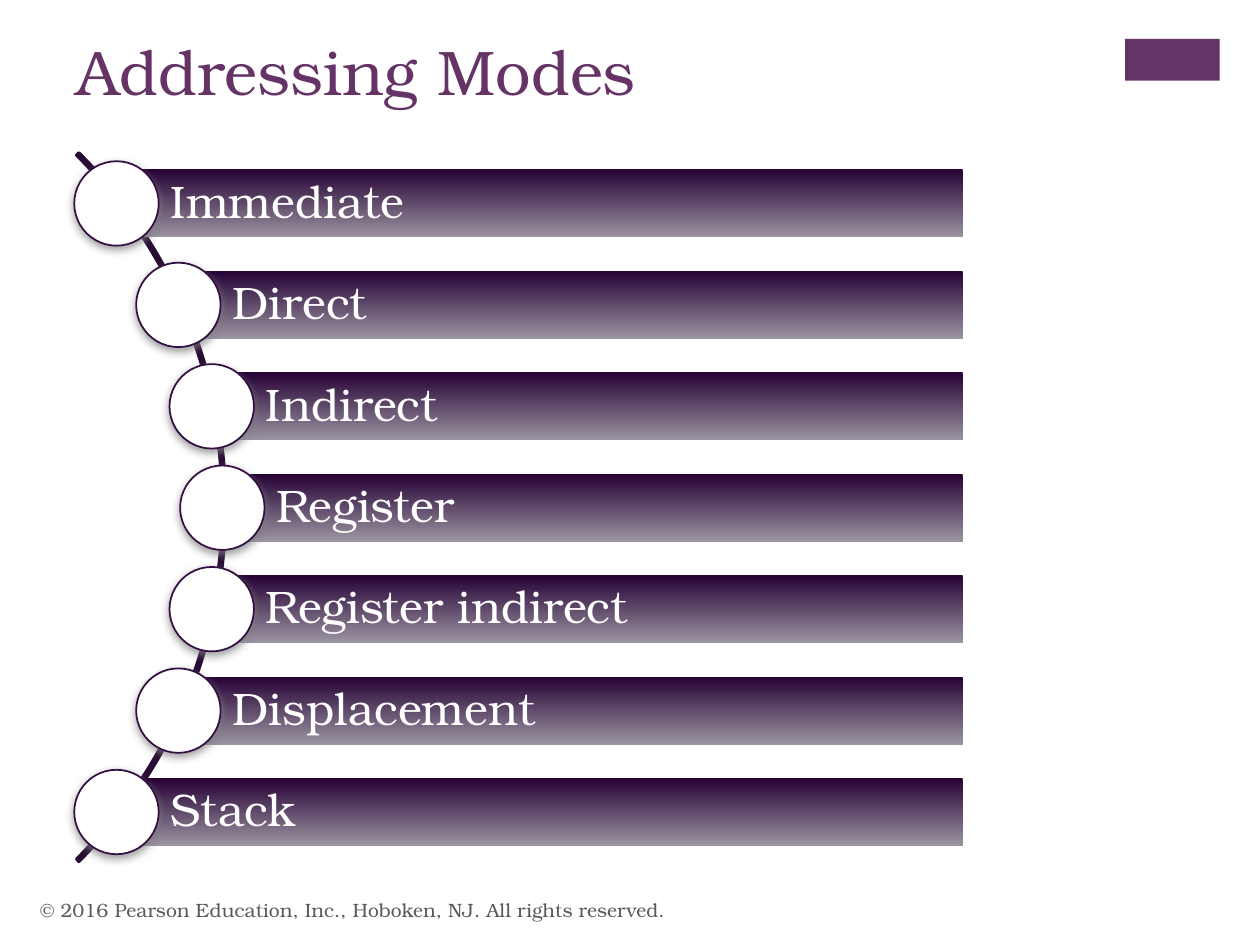
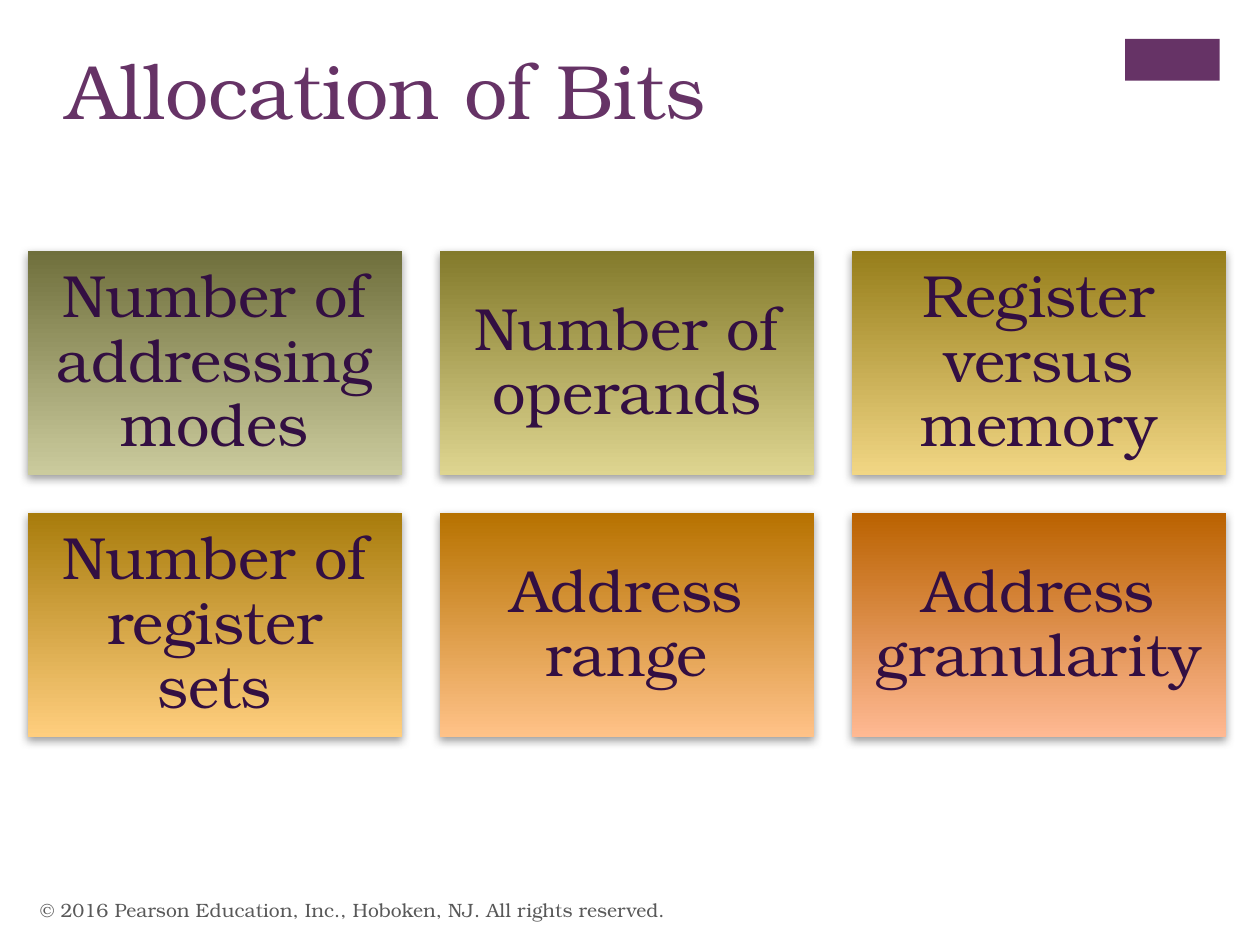
from dataclasses import dataclass
from math import sqrt

from lxml.etree import SubElement
from pptx import Presentation
from pptx.dml.color import RGBColor
from pptx.enum.shapes import MSO_SHAPE as Kind
from pptx.enum.text import MSO_ANCHOR as Anchor, MSO_AUTO_SIZE as Fit, PP_ALIGN as Align
from pptx.oxml.ns import qn
from pptx.util import Inches, Pt

FONT = "TeX Gyre Bonum"
PURPLE = RGBColor(0x66, 0x33, 0x66)
GREY = RGBColor(0x59, 0x59, 0x59)
WHITE = RGBColor(0xFF, 0xFF, 0xFF)
INK = RGBColor(0x33, 0x0F, 0x42)
ARC = RGBColor(0x29, 0x0C, 0x35)
DARK = RGBColor(0x26, 0x02, 0x35)
PALE = RGBColor(0x9B, 0x94, 0xA1)

MODES = ["Immediate", "Direct", "Indirect", "Register",
         "Register indirect", "Displacement", "Stack"]


@dataclass
class Box:
    left: float
    top: float
    width: float
    height: float

    def place(self) -> tuple:
        return tuple(Inches(v) for v in (self.left, self.top, self.width, self.height))


@dataclass
class Tile:
    text: str
    top: RGBColor
    base: RGBColor


TILES = [
    Tile("Number of addressing modes\t", RGBColor(0x6F, 0x6F, 0x3C), RGBColor(0xCB, 0xCB, 0x9D)),
    Tile("Number of operands", RGBColor(0x83, 0x7A, 0x2B), RGBColor(0xDE, 0xD5, 0x90)),
    Tile("Register versus memory", RGBColor(0x96, 0x7E, 0x1B), RGBColor(0xF1, 0xD6, 0x84)),
    Tile("Number of register sets", RGBColor(0xA8, 0x7C, 0x0C), RGBColor(0xFF, 0xCE, 0x7E)),
    Tile("Address range", RGBColor(0xB7, 0x72, 0x00), RGBColor(0xFF, 0xC2, 0x88)),
    Tile("Address granularity", RGBColor(0xBA, 0x62, 0x00), RGBColor(0xFF, 0xB9, 0x93)),
]


def write(frame, text: str, size: float, color: RGBColor,
          align=Align.LEFT, anchor=Anchor.MIDDLE, space: float = 1.0) -> None:
    frame.word_wrap = True
    frame.auto_size = Fit.NONE
    frame.vertical_anchor = anchor
    para = frame.paragraphs[0]
    para.alignment = align
    para.line_spacing = space
    run = para.add_run()
    run.text = text
    run.font.name = FONT
    run.font.size = Pt(size)
    run.font.color.rgb = color


def inset(frame, left: float, rest: float) -> None:
    frame.margin_left = Inches(left)
    frame.margin_top = frame.margin_right = frame.margin_bottom = Inches(rest)


def draw(slide, kind, box: Box):
    shape = slide.shapes.add_shape(kind, *box.place())
    shape.shadow.inherit = False
    shape.line.fill.background()
    return shape


def paint(shape, color: RGBColor) -> None:
    shape.fill.solid()
    shape.fill.fore_color.rgb = color


def edge(shape, color: RGBColor, width: float) -> None:
    shape.line.color.rgb = color
    shape.line.width = Pt(width)


def blend(shape, top: RGBColor, base: RGBColor) -> None:
    shape.fill.gradient()
    shape.fill.gradient_angle = 270
    for stop, color, spot in zip(shape.fill.gradient_stops, (top, base), (0, 1)):
        stop.color.rgb = color
        stop.position = spot


def shade(shape) -> None:
    effects = shape._element.spPr.find(qn("a:effectLst"))
    outer = SubElement(effects, qn("a:outerShdw"), blurRad=str(Pt(5)),
                       dist=str(Pt(2)), dir="5400000", rotWithShape="0")
    color = SubElement(outer, qn("a:srgbClr"), val="808080")
    SubElement(color, qn("a:alpha"), val="75000")


def start(deck, text: str, size: float, left: float, top: float):
    slide = deck.slides.add_slide(deck.slide_layouts[5])
    title = slide.shapes.title
    title.left, title.top, title.width, title.height = Box(left, top, 8.26, 1.22).place()
    write(title.text_frame, text, size, PURPLE, anchor=Anchor.TOP)
    paint(draw(slide, Kind.RECTANGLE, Box(8.93, 0.31, 0.75, 0.33)), PURPLE)
    foot = slide.shapes.add_textbox(*Box(0.22, 7.02, 6.7, 0.4).place())
    write(foot.text_frame,
          "© 2016 Pearson Education, Inc., Hoboken, NJ. All rights reserved.", 11, GREY)
    return slide


def list_modes(deck) -> None:
    slide = start(deck, "Addressing Modes", 36, 0.51, 0.21)
    arc = draw(slide, Kind.BLOCK_ARC, Box(-6.16, 0.05, 7.95, 7.95))
    for i, value in enumerate((189, 27, 0.003)):
        arc.adjustments[i] = value
    arc.fill.background()
    edge(arc, ARC, 2)

    right, peak, radius = 7.64, 1.765, 3.89
    middle, pitch, high, disc = 4.03, 0.805, 0.54, 0.67
    for i, mode in enumerate(MODES):
        rise = (i - len(MODES) // 2) * pitch
        x = peak - radius + sqrt(radius ** 2 - rise ** 2)
        y = middle + rise
        bar = draw(slide, Kind.RECTANGLE, Box(x, y - high / 2, right - x, high))
        blend(bar, DARK, PALE)
        inset(bar.text_frame, 0.43, 0.07)
        write(bar.text_frame, mode, 26, WHITE, space=0.9)
        dot = draw(slide, Kind.OVAL, Box(x - disc / 2, y - disc / 2, disc, disc))
        paint(dot, WHITE)
        edge(dot, INK, 1)
        shade(dot)


def show_bits(deck) -> None:
    slide = start(deck, "Allocation of Bits", 44, 0.43, 0.29)
    wide, high, gap = 2.97, 1.78, 0.3
    for i, tile in enumerate(TILES):
        row, col = divmod(i, 3)
        card = draw(slide, Kind.RECTANGLE,
                    Box(0.22 + col * (wide + gap), 1.99 + row * (high + gap), wide, high))
        blend(card, tile.top, tile.base)
        shade(card)
        inset(card.text_frame, 0.14, 0.14)
        write(card.text_frame, tile.text, 34, INK, align=Align.CENTER, space=0.9)


def main() -> None:
    deck = Presentation()
    deck.slide_width, deck.slide_height = Inches(10), Inches(7.5)
    list_modes(deck)
    show_bits(deck)
    deck.save("out.pptx")


if __name__ == "__main__":
    main()
